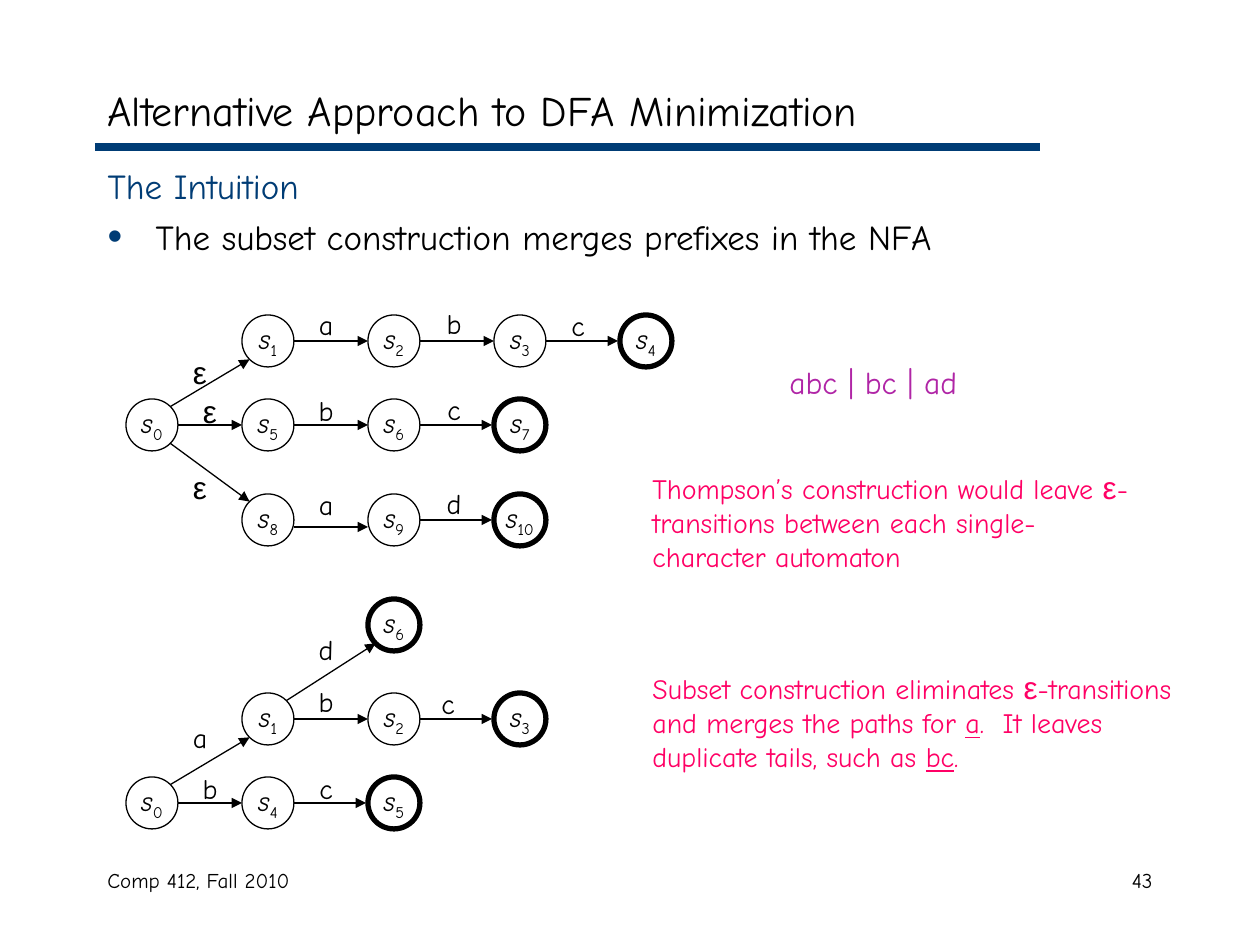
"""Build the slide on an alternative approach to DFA minimization."""
from dataclasses import dataclass
from math import cos, radians, sin

from lxml import etree
from pptx import Presentation
from pptx.dml.color import RGBColor
from pptx.enum.shapes import MSO_CONNECTOR, MSO_SHAPE
from pptx.enum.text import MSO_ANCHOR, MSO_AUTO_SIZE, PP_ALIGN
from pptx.oxml.ns import qn
from pptx.util import Emu, Pt

LEFT, CENTER, RIGHT = PP_ALIGN.LEFT, PP_ALIGN.CENTER, PP_ALIGN.RIGHT
MIDDLE, TOP = MSO_ANCHOR.MIDDLE, MSO_ANCHOR.TOP
STRAIGHT, OVAL, NO_AUTOFIT = MSO_CONNECTOR.STRAIGHT, MSO_SHAPE.OVAL, MSO_AUTO_SIZE.NONE
EMU_PER_PX = 914400 / 126
RADIUS = 26
FINAL_GAP = 2
COLUMNS = (152, 268, 394, 520, 646)
COLORS = {"black": "000000", "navy": "003C75", "purple": "B025A6", "pink": "FF0065"}
FONT, GREEK_FONT = "Comic Neue", "Arial"


@dataclass(frozen=True)
class Span:
    text: str
    size: int = 16
    font: str = FONT
    italic: bool = False
    underline: bool = False
    subscript: bool = False


@dataclass(frozen=True)
class State:
    number: int
    column: int
    y: int
    final: bool = False


@dataclass(frozen=True)
class Transition:
    source: int
    target: int
    symbol: str
    label_left: int
    label_top: int
    drop: int = 0


EPSILON = Span("ε", 18, GREEK_FONT)

NFA_STATES = (
    State(0, 0, 425),
    State(1, 1, 341), State(2, 2, 341), State(3, 3, 341), State(4, 4, 341, True),
    State(5, 1, 425), State(6, 2, 425), State(7, 3, 425, True),
    State(8, 1, 520), State(9, 2, 520), State(10, 3, 520, True),
)
NFA_TRANSITIONS = (
    Transition(0, 1, "ε", 179, 347), Transition(1, 2, "a", 305, 301),
    Transition(2, 3, "b", 433, 300), Transition(3, 4, "c", 557, 302),
    Transition(0, 5, "ε", 189, 386), Transition(5, 6, "b", 305, 387),
    Transition(6, 7, "c", 433, 386),
    Transition(0, 8, "ε", 179, 462), Transition(8, 9, "a", 305, 481, drop=7),
    Transition(9, 10, "d", 433, 480),
)
DFA_STATES = (
    State(0, 0, 803), State(1, 1, 719), State(2, 2, 719), State(3, 3, 719, True),
    State(4, 1, 803), State(5, 2, 803, True), State(6, 2, 625, True),
)
DFA_TRANSITIONS = (
    Transition(0, 1, "a", 179, 714), Transition(1, 2, "b", 305, 678),
    Transition(2, 3, "c", 427, 680), Transition(0, 4, "b", 189, 765),
    Transition(4, 5, "c", 305, 765), Transition(1, 6, "d", 305, 626),
)


def px(value: float) -> Emu:
    return Emu(round(value * EMU_PER_PX))


def rgb(name: str) -> RGBColor:
    return RGBColor.from_string(COLORS[name])


def write(paragraph, *spans: Span, color: str = "black", align=LEFT) -> None:
    paragraph.alignment = align
    for span in spans:
        run = paragraph.add_run()
        run.text = span.text
        run.font.name = span.font
        run.font.size = Pt(span.size)
        run.font.italic = span.italic
        run.font.underline = span.underline
        run.font.color.rgb = rgb(color)
        if span.subscript:
            run.font._element.set("baseline", "-25000")


def add_text(slide, left: int, top: int, width: int, height: int, *spans: Span,
             color: str = "black", align=LEFT) -> None:
    frame = slide.shapes.add_textbox(px(left), px(top), px(width), px(height)).text_frame
    frame.word_wrap = True
    write(frame.paragraphs[0], *spans, color=color, align=align)


def add_line(slide, start: tuple, end: tuple, color: str = "black",
             width: float = 0.75, arrow: bool = False) -> None:
    line = slide.shapes.add_connector(STRAIGHT, *map(px, (*start, *end)))
    line.line.color.rgb = rgb(color)
    line.line.width = Pt(width)
    properties = line._element.spPr
    if arrow:
        etree.SubElement(properties.find(qn("a:ln")), qn("a:tailEnd"), type="triangle")
    etree.SubElement(properties, qn("a:effectLst"))


def add_state(slide, state: State) -> None:
    shape = slide.shapes.add_shape(
        OVAL, px(COLUMNS[state.column] - RADIUS), px(state.y - RADIUS),
        px(2 * RADIUS), px(2 * RADIUS))
    shape.shadow.inherit = False
    shape.fill.background()
    shape.line.color.rgb = rgb("black")
    shape.line.width = Pt(3 if state.final else 0.75)
    frame = shape.text_frame
    frame.word_wrap = False
    frame.vertical_anchor = MIDDLE
    write(frame.paragraphs[0], Span("s", italic=True),
          Span(str(state.number), subscript=True), align=CENTER)


def rim_point(state: State, angle: float, gap: int = 0) -> tuple:
    reach = RADIUS + gap
    return (COLUMNS[state.column] + reach * cos(radians(angle)),
            state.y + reach * sin(radians(angle)))


def add_transition(slide, transition: Transition, states: dict) -> None:
    source, target = states[transition.source], states[transition.target]
    angle = 45 * ((target.y > source.y) - (target.y < source.y))
    gap = FINAL_GAP if target.final and angle == 0 else 0
    start_x, start_y = rim_point(source, angle)
    end_x, end_y = rim_point(target, angle + 180, gap)
    add_line(slide, (start_x, start_y + transition.drop),
             (end_x, end_y + transition.drop), arrow=True)
    symbol = EPSILON if transition.symbol == "ε" else Span(transition.symbol)
    add_text(slide, transition.label_left, transition.label_top, 42, 47, symbol, align=CENTER)


def add_automaton(slide, states: tuple, transitions: tuple) -> None:
    for state in states:
        add_state(slide, state)
    by_number = {state.number: state for state in states}
    for transition in transitions:
        add_transition(slide, transition, by_number)


def place(placeholder, left: int, top: int, width: int, height: int, anchor):
    placeholder.left, placeholder.top = px(left), px(top)
    placeholder.width, placeholder.height = px(width), px(height)
    frame = placeholder.text_frame
    frame.auto_size = NO_AUTOFIT
    frame.vertical_anchor = anchor
    return frame


def fill_body(frame) -> None:
    heading, item = frame.paragraphs[0], frame.add_paragraph()
    for paragraph in (heading, item):
        properties = paragraph._p.get_or_add_pPr()
        properties.set("marL", str(px(48)))
        properties.set("indent", str(px(-48)))
    etree.SubElement(heading._p.pPr, qn("a:buNone"))
    bullet_color = etree.SubElement(item._p.pPr, qn("a:buClr"))
    etree.SubElement(bullet_color, qn("a:srgbClr"), val=COLORS["navy"])
    etree.SubElement(item._p.pPr, qn("a:buSzPct"), val="120000")
    etree.SubElement(item._p.pPr, qn("a:buChar"), char="•")
    heading.space_before, item.space_before = Pt(0), Pt(5)
    write(heading, Span("The Intuition", 20), color="navy")
    write(item, Span("The subset construction merges prefixes in the NFA", 20))


def main() -> None:
    presentation = Presentation()
    presentation.slide_width, presentation.slide_height = px(1260), px(945)
    slide = presentation.slides.add_slide(presentation.slide_layouts[1])
    title = place(slide.shapes.title, 95, 73, 1071, 73, MIDDLE)
    write(title.paragraphs[0], Span("Alternative Approach to DFA Minimization", 24))
    fill_body(place(slide.placeholders[1], 95, 158, 1071, 683, TOP))
    add_line(slide, (95, 147), (1040, 147), color="navy", width=4.5)
    add_automaton(slide, NFA_STATES, NFA_TRANSITIONS)
    add_automaton(slide, DFA_STATES, DFA_TRANSITIONS)
    add_text(slide, 777, 357, 273, 50, Span("abc | bc | ad", 18), color="purple")
    add_text(slide, 640, 462, 504, 118, Span("Thompson’s construction would leave "), EPSILON,
             Span("-transitions between each single-character automaton"), color="pink")
    add_text(slide, 640, 662, 546, 118, Span("Subset construction eliminates "), EPSILON,
             Span("-transitions and merges the paths for "), Span("a", underline=True),
             Span(".  It leaves duplicate tails, such as "), Span("bc", underline=True),
             Span("."), color="pink")
    add_text(slide, 95, 861, 399, 63, Span("Comp 412, Fall 2010", 12))
    add_text(slide, 903, 861, 262, 63, Span("43", 12), align=RIGHT)
    presentation.save("out.pptx")


if __name__ == "__main__":
    main()
